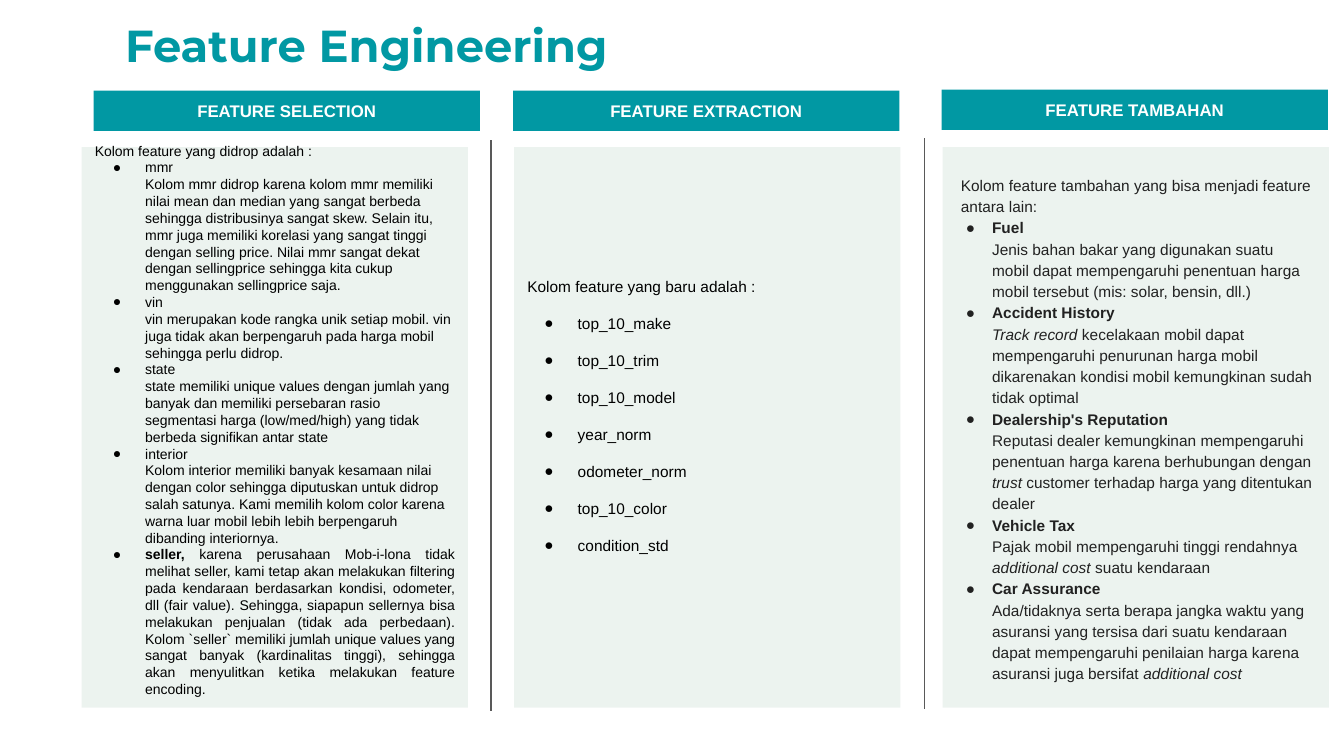
from dataclasses import dataclass

from lxml.etree import SubElement
from pptx import Presentation
from pptx.dml.color import RGBColor
from pptx.enum.shapes import MSO_CONNECTOR, MSO_SHAPE
from pptx.enum.text import MSO_ANCHOR, MSO_AUTO_SIZE, PP_ALIGN
from pptx.oxml.ns import qn
from pptx.util import Pt

EMU_PER_PX = 9144  # 100 px to the inch


@dataclass(frozen=True)
class Theme:
    teal: str = "0198A3"
    panel: str = "66A482"
    panel_alpha: int = 12
    rule: str = "595959"
    white: str = "FFFFFF"
    black: str = "000000"
    ink: str = "212121"
    title_font: str = "Montserrat"
    text_font: str = "Arial"
    title_size: int = 32
    header_size: int = 12
    list_size: int = 11
    dense_size: int = 10


@dataclass(frozen=True)
class ListStyle:
    """Type and indents of one list; lengths in px, spacing before in points."""
    size: int
    color: str
    indent: int
    hang: int
    line_spacing: float = 1.0
    space_before: float = 0


@dataclass(frozen=True)
class Entry:
    """One paragraph; each span is (text, emphasis)."""
    spans: tuple
    bullet: bool = False
    indented: bool = True
    align: PP_ALIGN = PP_ALIGN.LEFT


THEME = Theme()
DENSE = ListStyle(THEME.dense_size, THEME.black, 50, 32)
AIRY = ListStyle(THEME.list_size, THEME.black, 50, 33, space_before=13.2)
LOOSE = ListStyle(THEME.list_size, THEME.ink, 31, 26, line_spacing=1.15)


def intro(text):
    return Entry(((text, ""),), indented=False)


def item(text, emphasis=""):
    return Entry(((text, emphasis),), bullet=True)


def detail(*spans):
    return Entry(tuple((span, "") if isinstance(span, str) else span for span in spans))


SELECTION = [
    intro("Kolom feature yang didrop adalah :"),
    item("mmr"),
    detail("Kolom mmr didrop karena kolom mmr memiliki nilai mean dan median yang sangat berbeda sehingga distribusinya sangat skew. Selain itu, mmr juga memiliki korelasi yang sangat tinggi dengan selling price. Nilai mmr sangat dekat dengan sellingprice sehingga kita cukup menggunakan sellingprice saja."),
    item("vin"),
    detail("vin merupakan kode rangka unik setiap mobil. vin juga tidak akan berpengaruh pada harga mobil sehingga perlu didrop."),
    item("state"),
    detail("state memiliki unique values dengan jumlah yang banyak dan memiliki persebaran rasio segmentasi harga (low/med/high) yang tidak berbeda signifikan antar state"),
    item("interior"),
    detail("Kolom interior memiliki banyak kesamaan nilai dengan color sehingga diputuskan untuk didrop salah satunya. Kami memilih kolom color karena warna luar mobil lebih lebih berpengaruh dibanding interiornya."),
    Entry((("seller, ", "bold"),
           ("karena perusahaan Mob-i-lona tidak melihat seller, kami tetap akan melakukan filtering pada kendaraan berdasarkan kondisi, odometer, dll (fair value). Sehingga, siapapun sellernya bisa melakukan penjualan (tidak ada perbedaan). Kolom `seller` memiliki jumlah unique values yang sangat banyak (kardinalitas tinggi), sehingga akan menyulitkan ketika melakukan feature encoding.", "")),
          bullet=True, align=PP_ALIGN.JUSTIFY),
]
EXTRACTION = [intro("Kolom feature yang baru adalah :")] + [
    item(name) for name in ("top_10_make", "top_10_trim", "top_10_model", "year_norm",
                            "odometer_norm", "top_10_color", "condition_std")]
ADDITIONS = [
    intro("Kolom feature tambahan yang bisa menjadi feature antara lain:"),
    item("Fuel", "bold"),
    detail("Jenis bahan bakar yang digunakan suatu mobil dapat mempengaruhi penentuan harga mobil tersebut (mis: solar, bensin, dll.)"),
    item("Accident History", "bold"),
    detail(("Track record", "italic"), " kecelakaan mobil dapat mempengaruhi penurunan harga mobil dikarenakan kondisi mobil kemungkinan sudah tidak optimal"),
    item("Dealership's Reputation", "bold"),
    detail("Reputasi dealer kemungkinan mempengaruhi penentuan harga karena berhubungan dengan ", ("trust", "italic"), " customer terhadap harga yang ditentukan dealer"),
    item("Vehicle Tax", "bold"),
    detail("Pajak mobil mempengaruhi tinggi rendahnya ", ("additional cost", "italic"), " suatu kendaraan"),
    item("Car Assurance", "bold"),
    detail("Ada/tidaknya serta berapa jangka waktu yang asuransi yang tersisa dari suatu kendaraan dapat mempengaruhi penilaian harga karena asuransi juga bersifat ", ("additional cost", "italic")),
]


def px(*lengths):
    return [length * EMU_PER_PX for length in lengths]


def place(shape, box):
    shape.left, shape.top, shape.width, shape.height = px(*box)


def fill_solid(shape, color, alpha=100):
    shape.fill.solid()
    shape.fill.fore_color.rgb = RGBColor.from_string(color)
    if alpha < 100:
        tint = shape.element.spPr.find(f"{qn('a:solidFill')}/{qn('a:srgbClr')}")
        SubElement(tint, qn("a:alpha"), val=str(alpha * 1000))


def set_frame(frame, insets, anchor=MSO_ANCHOR.TOP):
    frame.word_wrap = True
    frame.auto_size = MSO_AUTO_SIZE.NONE
    frame.vertical_anchor = anchor
    (frame.margin_left, frame.margin_top,
     frame.margin_right, frame.margin_bottom) = px(*insets)


def set_font(font, name, size, color, bold=False):
    font.name, font.size, font.bold = name, Pt(size), bold
    font.color.rgb = RGBColor.from_string(color)


def add_rectangle(page, box, color, alpha=100):
    shape = page.shapes.add_shape(MSO_SHAPE.RECTANGLE, *px(*box))
    shape.shadow.inherit = False
    shape.line.fill.background()
    fill_solid(shape, color, alpha)
    return shape


def add_title(page, box, text):
    title = page.shapes.title
    place(title, box)
    set_frame(title.text_frame, (10, 5, 10, 5))
    para = title.text_frame.paragraphs[0]
    para.text, para.alignment, para.line_spacing = text, PP_ALIGN.LEFT, 1.03
    set_font(para.font, THEME.title_font, THEME.title_size, THEME.teal, True)


def add_header(page, box, text):
    frame = add_rectangle(page, box, THEME.teal).text_frame
    set_frame(frame, (10, 10, 10, 10))
    para = frame.paragraphs[0]
    para.text, para.alignment = text, PP_ALIGN.CENTER
    set_font(para.font, THEME.text_font, THEME.header_size, THEME.white, True)


def add_divider(page, x, top, height):
    line = page.shapes.add_connector(MSO_CONNECTOR.STRAIGHT, *px(x, top, x, top + height))
    line.line.color.rgb = RGBColor.from_string(THEME.rule)
    line.line.width = Pt(0.75)
    SubElement(line.element.spPr, qn("a:effectLst"))


def set_bullet(para, entry, style):
    properties = para._p.get_or_add_pPr()
    indent = style.indent if entry.indented else 0
    hang = style.hang if entry.bullet else 0
    properties.set("marL", str(indent * EMU_PER_PX))
    properties.set("indent", str(-hang * EMU_PER_PX))
    if entry.bullet:
        color = SubElement(properties, qn("a:buClr"))
        SubElement(color, qn("a:srgbClr"), val=style.color)
        SubElement(properties, qn("a:buFont"), typeface=THEME.text_font)
        SubElement(properties, qn("a:buChar"), char="●")
    else:
        SubElement(properties, qn("a:buNone"))


def write_list(frame, entries, style):
    for index, entry in enumerate(entries):
        para = frame.add_paragraph() if index else frame.paragraphs[0]
        set_bullet(para, entry, style)
        para.alignment = entry.align
        para.line_spacing = style.line_spacing
        para.space_before = Pt(style.space_before if index else 0)
        para.space_after = Pt(0)
        set_font(para.font, THEME.text_font, style.size, style.color)
        for text, emphasis in entry.spans:
            span = para.add_run()
            span.text = text
            if emphasis == "bold":
                span.font.bold = True
            elif emphasis == "italic":
                span.font.italic = True


def add_panel_list(body, box, entries, style, bottom_inset):
    place(body, box)
    fill_solid(body, THEME.panel, THEME.panel_alpha)
    set_frame(body.text_frame, (13, 13, 13, bottom_inset), MSO_ANCHOR.MIDDLE)
    write_list(body.text_frame, entries, style)


def add_list_over_panel(page, body, box, entries, style):
    left, top, width, height = box
    panel = add_rectangle(page, box, THEME.panel, THEME.panel_alpha)
    body.element.addprevious(panel.element)
    place(body, (left + 8, top + 16, width - 14, height - 28))
    set_frame(body.text_frame, (10, 10, 10, 10))
    write_list(body.text_frame, entries, style)


def build_feature_page(deck):
    page = deck.slides.add_slide(deck.slide_layouts.get_by_name("Comparison"))
    _, selection, extraction, additions, spare = page.placeholders
    spare.element.getparent().remove(spare.element)
    add_title(page, (114, 11, 821, 64), "Feature Engineering")
    for left, top, text in ((93, 90, "FEATURE SELECTION"), (509, 90, "FEATURE EXTRACTION"),
                            (934, 89, "FEATURE TAMBAHAN")):
        add_header(page, (left, top, 383, 40), text)
    for x, top in ((487, 139), (917, 137)):
        add_divider(page, x, top, 566)
    add_panel_list(selection, (81, 146, 383, 556), SELECTION, DENSE, 28)
    add_panel_list(extraction, (510, 146, 383, 556), EXTRACTION, AIRY, 36)
    add_list_over_panel(page, additions, (935, 146, 383, 556), ADDITIONS, LOOSE)


def main():
    deck = Presentation()
    deck.slide_width, deck.slide_height = px(1333, 750)
    build_feature_page(deck)
    deck.save("out.pptx")


if __name__ == "__main__":
    main()
